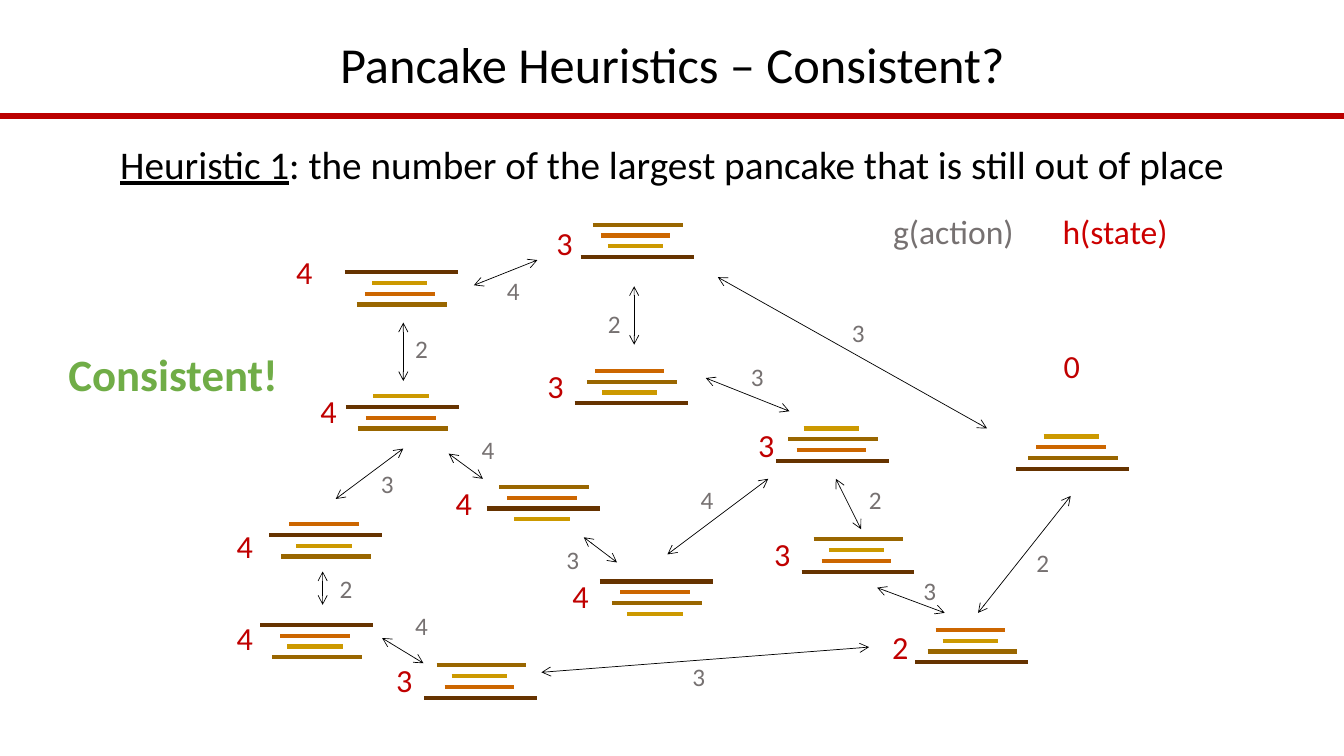
from dataclasses import dataclass

from lxml.etree import SubElement
from pptx import Presentation
from pptx.dml.color import RGBColor
from pptx.enum.shapes import MSO_CONNECTOR
from pptx.enum.text import MSO_ANCHOR, PP_ALIGN
from pptx.oxml.ns import qn
from pptx.util import Inches, Pt

TITLE = "Pancake Heuristics – Consistent?"
HEURISTIC = [("Heuristic 1", True),
             (": the number of the largest pancake that is still out of place", False)]
VERDICT = "Consistent!"
COST_KEY = "g(action)"
ESTIMATE_KEY = "h(state)"

# Each state: pancakes from top to bottom, stack corner, estimate, estimate corner.
STATES = [
    ("4123", (3.42, 2.70), "4", (2.84, 2.45)),
    ("1423", (3.43, 3.93), "4", (3.08, 3.83)),
    ("3214", (5.76, 2.23), "3", (5.42, 2.17)),
    ("2413", (2.67, 5.20), "4", (2.25, 5.17)),
    ("3241", (4.83, 4.83), "4", (4.42, 4.75)),
    ("1234", (10.08, 4.33), "0", (10.45, 3.39)),
    ("2314", (5.70, 3.68), "3", (5.33, 3.58)),
    ("4231", (5.95, 5.77), "4", (5.58, 5.67)),
    ("4213", (2.58, 6.20), "4", (2.25, 6.08)),
    ("3124", (4.21, 6.60), "3", (3.83, 6.50)),
    ("1324", (7.70, 4.25), "3", (7.42, 4.17)),
    ("2134", (9.08, 6.25), "2", (8.75, 6.17)),
    ("3124", (7.95, 5.35), "3", (7.58, 5.25)),
]

# Each action: arrow start, arrow end, cost, cost corner.
ACTIONS = [
    ((5.33, 2.58), (4.70, 2.83), "4", (4.93, 2.68)),
    ((4.00, 3.78), (4.00, 3.20), "2", (4.02, 3.26)),
    ((3.33, 4.95), (4.00, 4.45), "3", (3.68, 4.60)),
    ((4.79, 4.75), (4.45, 4.50), "4", (4.68, 4.26)),
    ((3.20, 6.00), (3.20, 5.67), "2", (3.27, 5.64)),
    ((4.20, 6.58), (3.79, 6.33), "4", (4.02, 6.01)),
    ((8.62, 6.42), (5.37, 6.67), "3", (6.77, 6.51)),
    ((6.12, 5.58), (5.79, 5.33), "3", (5.52, 5.35)),
    ((7.62, 4.75), (6.62, 5.50), "4", (6.85, 4.76)),
    ((7.00, 3.75), (7.83, 4.08), "3", (7.35, 3.54)),
    ((6.29, 2.84), (6.29, 3.42), "2", (5.93, 3.01)),
    ((9.79, 4.25), (7.12, 2.75), "3", (8.35, 3.10)),
    ((8.29, 4.75), (8.54, 5.25), "2", (8.52, 4.76)),
    ((8.70, 5.83), (9.37, 6.08), "3", (9.06, 5.66)),
    ((9.70, 6.08), (10.62, 4.92), "2", (10.18, 5.38)),
]

# Each pancake: indent from the stack's left edge, width, colour.
PANCAKES = {
    "1": (0.27, 0.55, "CC9900"),
    "2": (0.20, 0.69, "CC6600"),
    "3": (0.12, 0.89, "996600"),
    "4": (0.00, 1.12, "663300"),
}
PANCAKE_STEP = 0.107
SLIDE_WIDTH, SLIDE_HEIGHT = 13.33, 7.5


@dataclass(frozen=True)
class Theme:
    font: str = "Calibri"
    ink: str = "000000"
    rule: str = "BB0000"
    estimate: str = "C00000"
    estimate_key: str = "CC0000"
    cost: str = "767171"
    verdict: str = "70AD47"
    title_size: int = 36
    verdict_size: int = 32
    heuristic_size: int = 28
    key_size: int = 24
    estimate_size: int = 23
    cost_size: int = 18
    rule_width: float = 4
    pancake_width: float = 3
    arrow_width: float = 0.5


THEME = Theme()


def add_text(slide, text, left, top, width, height, size, color=THEME.ink, bold=False,
             align=PP_ALIGN.LEFT, anchor=MSO_ANCHOR.TOP, line_spacing=None):
    box = slide.shapes.add_textbox(Inches(left), Inches(top), Inches(width), Inches(height))
    frame = box.text_frame
    frame.word_wrap = True
    frame.vertical_anchor = anchor
    paragraph = frame.paragraphs[0]
    paragraph.alignment = align
    paragraph.line_spacing = line_spacing
    pieces = [(text, False)] if isinstance(text, str) else text
    for words, underlined in pieces:
        run = paragraph.add_run()
        run.text = words
        run.font.name = THEME.font
        run.font.size = Pt(size)
        run.font.bold = bold
        run.font.underline = underlined
        run.font.color.rgb = RGBColor.from_string(color)


def add_line(slide, start, end, color, width, arrows=False):
    connector = slide.shapes.add_connector(
        MSO_CONNECTOR.STRAIGHT, *(Inches(value) for value in (*start, *end)))
    connector.line.color.rgb = RGBColor.from_string(color)
    connector.line.width = Pt(width)
    properties = connector._element.spPr
    if arrows:
        outline = properties.find(qn("a:ln"))
        for tag in ("a:headEnd", "a:tailEnd"):
            SubElement(outline, qn(tag), type="arrow")
    SubElement(properties, qn("a:effectLst"))


def add_stack(slide, order, corner):
    left, top = corner
    for row, pancake in enumerate(order):
        indent, width, color = PANCAKES[pancake]
        x, y = left + indent, top + row * PANCAKE_STEP
        add_line(slide, (x, y), (x + width, y), color, THEME.pancake_width)


def main():
    presentation = Presentation()
    presentation.slide_width = Inches(SLIDE_WIDTH)
    presentation.slide_height = Inches(SLIDE_HEIGHT)
    slide = presentation.slides.add_slide(presentation.slide_layouts[6])

    add_line(slide, (0, 1.15), (SLIDE_WIDTH, 1.15), THEME.rule, THEME.rule_width)
    add_text(slide, TITLE, 0.92, 0.34, 11.5, 0.66, THEME.title_size,
             align=PP_ALIGN.CENTER, anchor=MSO_ANCHOR.MIDDLE, line_spacing=0.9)
    add_text(slide, HEURISTIC, 0, 1.34, SLIDE_WIDTH, 0.57, THEME.heuristic_size,
             align=PP_ALIGN.CENTER)

    for order, corner, estimate, place in STATES:
        add_stack(slide, order, corner)
        add_text(slide, estimate, *place, 0.33, 0.49, THEME.estimate_size, THEME.estimate)
    for start, end, cost, place in ACTIONS:
        add_line(slide, start, end, THEME.ink, THEME.arrow_width, arrows=True)
        add_text(slide, cost, *place, 0.33, 0.4, THEME.cost_size, THEME.cost)

    add_text(slide, COST_KEY, 8.76, 2.04, 1.43, 0.5, THEME.key_size, THEME.cost)
    add_text(slide, ESTIMATE_KEY, 10.44, 2.04, 1.25, 0.5, THEME.key_size, THEME.estimate_key)
    add_text(slide, VERDICT, 0.58, 3.39, 2.44, 0.64, THEME.verdict_size, THEME.verdict, bold=True)
    presentation.save("out.pptx")


if __name__ == "__main__":
    main()
